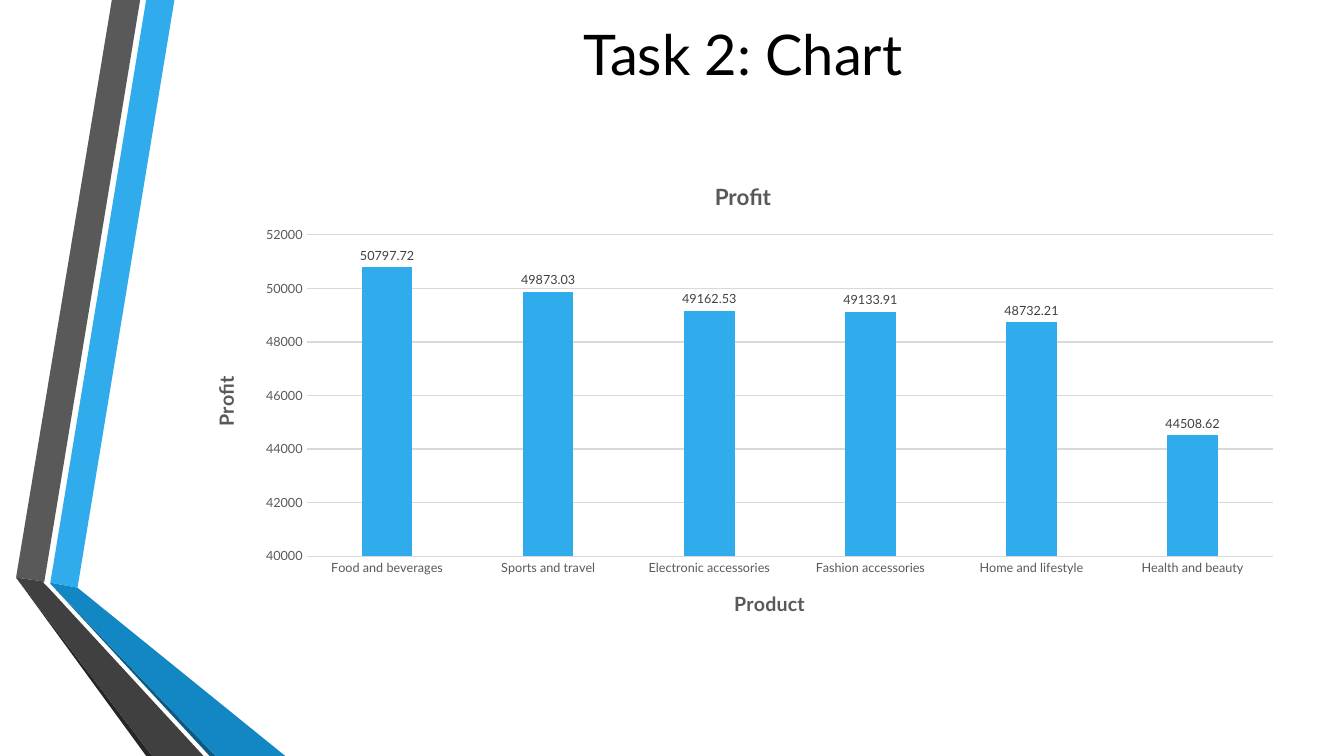
from lxml.etree import SubElement
from pptx import Presentation
from pptx.chart.data import CategoryChartData
from pptx.dml.color import RGBColor
from pptx.enum.chart import XL_CHART_TYPE, XL_LABEL_POSITION, XL_TICK_MARK
from pptx.enum.text import MSO_ANCHOR, PP_ALIGN
from pptx.oxml.ns import qn
from pptx.util import Pt

FONT = "Lato"
COLORS = {
    "black": "000000", "label": "404040", "muted": "595959", "grid": "D9D9D9",
    "blue": "30ACEC", "blue_fold": "1287C3", "blue_edge": "0C5A82",
    "gray": "595959", "gray_fold": "404040", "gray_edge": "262626",
}
RIBBON_FACES = [
    ("blue", [(36, 416.2), (55.4, 419.8), (124.6, 0), (104.4, 0)]),
    ("gray", [(100.1, 0), (79.9, 0), (11.5, 412.6), (31.7, 415.4)]),
    ("gray_edge", [(11.5, 412.6), (104.4, 540), (108.7, 540)]),
    ("blue_edge", [(36, 416.9), (149.8, 540), (154.1, 540)]),
    ("blue_fold", [(36, 416.2), (36, 416.9), (154.1, 540), (203.8, 540), (55.4, 419.8)]),
    ("gray_fold", [(145.4, 540), (34.6, 419.8), (31, 416.2), (31.7, 415.4),
                   (11.5, 412.6), (108.7, 540)]),
]
PROFITS = {
    "Food and beverages": 50797.72,
    "Sports and travel": 49873.03,
    "Electronic accessories": 49162.53,
    "Fashion accessories": 49133.91,
    "Home and lifestyle": 48732.21,
    "Health and beauty": 44508.62,
}


def rgb(name):
    """Return the named colour."""
    return RGBColor.from_string(COLORS[name])


def style_font(font, size, color, bold=False):
    """Apply the deck's typeface with a size, colour and weight."""
    font.name, font.size, font.bold = FONT, Pt(size), bold
    font.color.rgb = rgb(color)


def add_ribbons(slide, left, top):
    """Draw the two folded ribbons from the given corner."""
    for color, corners in RIBBON_FACES:
        points = [(Pt(left + x), Pt(top + y)) for x, y in corners]
        outline = slide.shapes.build_freeform(*points[0])
        outline.add_line_segments(points[1:], close=True)
        face = outline.convert_to_shape()
        face.shadow.inherit = False
        face.fill.solid()
        face.fill.fore_color.rgb = rgb(color)
        face.line.fill.background()


def add_heading(slide, left, top, width, height):
    """Place the centred slide heading in its box."""
    heading = slide.shapes.add_textbox(Pt(left), Pt(top), Pt(width), Pt(height))
    frame = heading.text_frame
    frame.word_wrap = True
    frame.vertical_anchor = MSO_ANCHOR.MIDDLE
    line = frame.paragraphs[0]
    line.text = "Task 2: Chart"
    line.alignment = PP_ALIGN.CENTER
    style_font(line.font, 40, "black")


def set_caption(owner, text, size):
    """Give a chart or an axis its bold title."""
    owner.has_title = True
    title = owner.chart_title if hasattr(owner, "chart_title") else owner.axis_title
    line = title.text_frame.paragraphs[0]
    line.text = text
    style_font(line.font, size, "muted", bold=True)


def fix_plot_area(chart, **fractions):
    """Pin the inner plot area to fractions of the chart box."""
    area = chart.plots[0]._element.getparent()
    layout = area.find(qn("c:layout"))
    if layout is None:
        layout = SubElement(area, qn("c:layout"))
        area.insert(0, layout)
    manual = SubElement(layout, qn("c:manualLayout"))
    settings = {"layoutTarget": "inner", "xMode": "edge", "yMode": "edge", **fractions}
    for tag, value in settings.items():
        SubElement(manual, qn(f"c:{tag}")).set("val", str(value))


def add_profit_chart(slide, left, top, width, height):
    """Place the profit by product column chart in its box."""
    data = CategoryChartData()
    data.categories = list(PROFITS)
    data.add_series("Series 1", list(PROFITS.values()))
    chart = slide.shapes.add_chart(
        XL_CHART_TYPE.COLUMN_CLUSTERED, Pt(left), Pt(top), Pt(width), Pt(height), data
    ).chart
    style_font(chart.font, 10, "black")
    chart.has_legend = False
    products, profit = chart.category_axis, chart.value_axis
    set_caption(chart, "Profit", 16)
    set_caption(products, "Product", 14)
    set_caption(profit, "Profit", 14)
    fix_plot_area(chart, x=0.105, y=0.153, w=0.875, h=0.675)

    for axis in (products, profit):
        axis.major_tick_mark = axis.minor_tick_mark = XL_TICK_MARK.NONE
        style_font(axis.tick_labels.font, 9, "muted")
    profit.minimum_scale, profit.maximum_scale, profit.major_unit = 40000, 52000, 2000
    profit.format.line.fill.background()
    for line in (products.format.line, profit.major_gridlines.format.line):
        line.color.rgb = rgb("grid")
        line.width = Pt(0.75)

    columns = chart.plots[0]
    columns.vary_by_categories = False
    columns.gap_width, columns.overlap = 219, -27
    series = columns.series[0]
    series.format.fill.solid()
    series.format.fill.fore_color.rgb = rgb("blue")
    labels = series.data_labels
    labels.show_value = True
    labels.position = XL_LABEL_POSITION.OUTSIDE_END
    style_font(labels.font, 9, "label")


def main():
    """Build and save the slide."""
    deck = Presentation()
    deck.slide_width, deck.slide_height = Pt(960), Pt(540)
    slide = deck.slides.add_slide(deck.slide_layouts[6])
    add_ribbons(slide, 0, 0)
    add_heading(slide, 136.1, 0, 789.1, 76.3)
    add_profit_chart(slide, 136.1, 115.9, 789.1, 339.8)
    deck.save("out.pptx")


if __name__ == "__main__":
    main()
